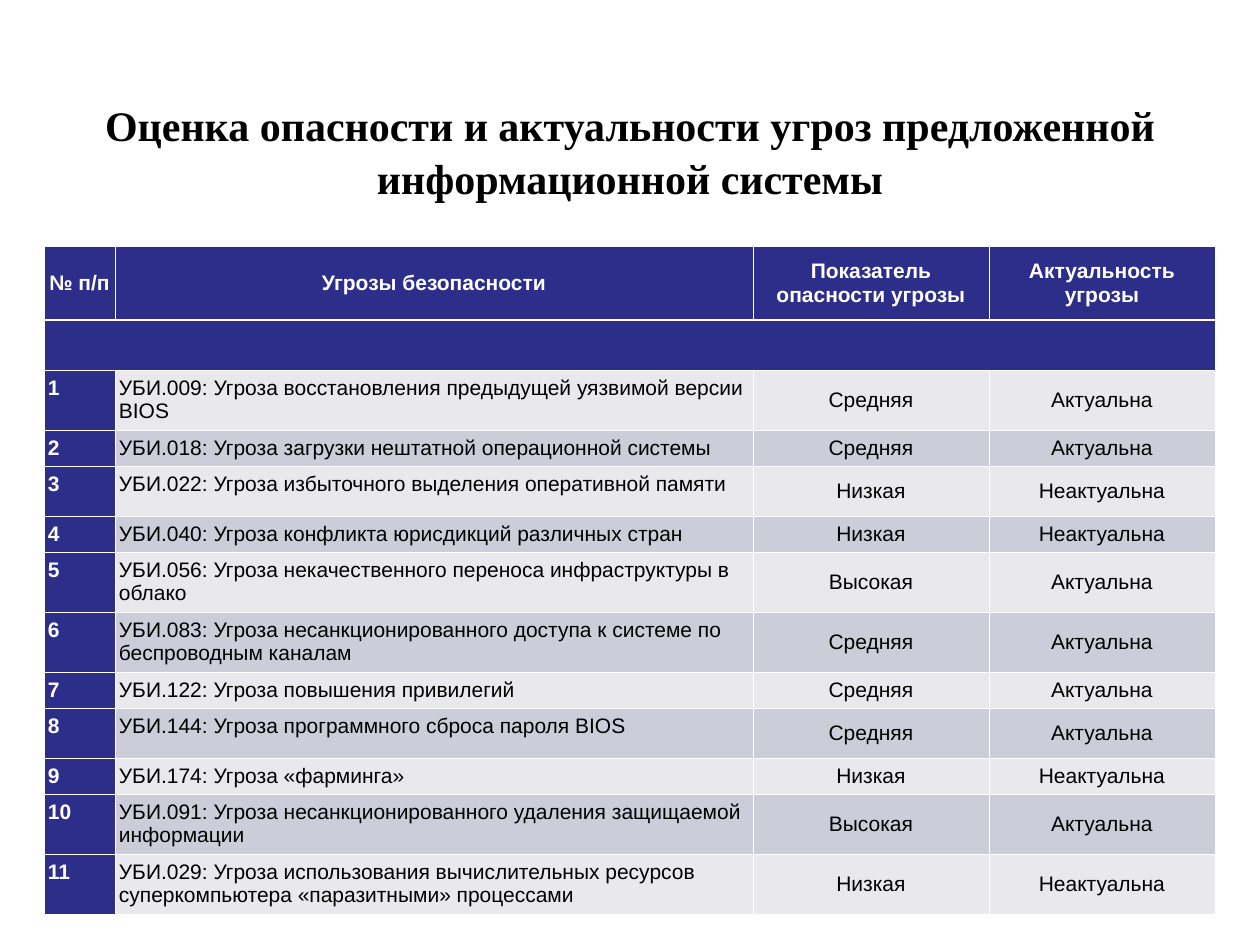
from lxml import etree
from pptx import Presentation
from pptx import util as u
from pptx.dml.color import RGBColor
from pptx.enum import text
from pptx.oxml.ns import qn

PX = 914400 / 126
NAVY, WHITE, BLACK = "2D2D8A", "FFFFFF", "000000"
BANDS = ("E8E8ED", "CDCDDA")
THIN, THICK = 0.45, 1.47
CENTER, LEFT = text.PP_ALIGN.CENTER, text.PP_ALIGN.LEFT
MIDDLE, TOP = text.MSO_ANCHOR.MIDDLE, text.MSO_ANCHOR.TOP


def px(length):
    return u.Emu(round(length * PX))


def color(value):
    return RGBColor.from_string(value)


def apply(target, values):
    for name, value in values.items():
        setattr(target, name, value)


class ThreatSlide:
    title_font = {"name": "Times New Roman", "size": u.Pt(24), "bold": True}
    cell_font = {"name": "Arial", "size": u.Pt(12)}
    cell_margins = {"margin_left": px(4), "margin_right": px(4),
                    "margin_top": px(6), "margin_bottom": px(6)}

    def __init__(self, deck):
        self.slide = deck.slides.add_slide(deck.slide_layouts[5])

    def title(self, wording, left, top, width, height):
        title = self.slide.shapes.title
        apply(title, {"left": px(left), "top": px(top),
                      "width": px(width), "height": px(height)})
        frame = title.text_frame
        apply(frame, {"text": wording, "word_wrap": True,
                      "auto_size": text.MSO_AUTO_SIZE.NONE,
                      "vertical_anchor": MIDDLE})
        paragraph = frame.paragraphs[0]
        apply(paragraph, {"alignment": CENTER, "line_spacing": 1.06})
        font = paragraph.runs[0].font
        apply(font, self.title_font)
        font.color.rgb = color(BLACK)

    def table(self, left, top, widths, heights):
        frame = self.slide.shapes.add_table(
            len(heights), len(widths), px(left), px(top),
            px(sum(widths)), px(sum(heights)))
        for column, width in zip(frame.table.columns, widths):
            column.width = px(width)
        for row, height in zip(frame.table.rows, heights):
            row.height = px(height)
        return frame.table

    def borders(self, cell, **weights):
        properties = cell._tc.get_or_add_tcPr()
        for side in "LRTB":
            weight = u.Pt(weights.get(side, THIN))
            line = etree.SubElement(properties, qn(f"a:ln{side}"), w=str(weight))
            fill = etree.SubElement(line, qn("a:solidFill"))
            etree.SubElement(fill, qn("a:srgbClr"), val=WHITE)

    def cell(self, cell, wording, fill, ink=BLACK, bold=False,
             align=CENTER, anchor=MIDDLE, **weights):
        apply(cell, self.cell_margins | {"vertical_anchor": anchor})
        self.borders(cell, **weights)
        cell.fill.solid()
        cell.fill.fore_color.rgb = color(fill)
        if wording:
            cell.text = wording
            paragraph = cell.text_frame.paragraphs[0]
            paragraph.alignment = align
            font = paragraph.runs[0].font
            apply(font, self.cell_font | {"bold": bold})
            font.color.rgb = color(ink)


HEADINGS = ("№ п/п", "Угрозы безопасности",
            "Показатель опасности угрозы", "Актуальность угрозы")

# Row heights by amount of text
ONE_LINE, LOOSE, TWO_LINES = 36, 50, 60

# Threat, danger level, relevance, row height
THREATS = [
    ("УБИ.009: Угроза восстановления предыдущей уязвимой версии BIOS",
     "Средняя", "Актуальна", TWO_LINES),
    ("УБИ.018: Угроза загрузки нештатной операционной системы",
     "Средняя", "Актуальна", ONE_LINE),
    ("УБИ.022: Угроза избыточного выделения оперативной памяти",
     "Низкая", "Неактуальна", LOOSE),
    ("УБИ.040: Угроза конфликта юрисдикций различных стран",
     "Низкая", "Неактуальна", ONE_LINE),
    ("УБИ.056: Угроза некачественного переноса инфраструктуры в облако",
     "Высокая", "Актуальна", TWO_LINES),
    ("УБИ.083: Угроза несанкционированного доступа к системе по беспроводным каналам",
     "Средняя", "Актуальна", TWO_LINES),
    ("УБИ.122: Угроза повышения привилегий",
     "Средняя", "Актуальна", ONE_LINE),
    ("УБИ.144: Угроза программного сброса пароля BIOS",
     "Средняя", "Актуальна", LOOSE),
    ("УБИ.174: Угроза «фарминга»",
     "Низкая", "Неактуальна", ONE_LINE),
    ("УБИ.091: Угроза несанкционированного удаления защищаемой информации",
     "Высокая", "Актуальна", TWO_LINES),
    ("УБИ.029: Угроза использования вычислительных ресурсов "
     "суперкомпьютера «паразитными» процессами",
     "Низкая", "Неактуальна", TWO_LINES),
]


def main():
    deck = Presentation()
    apply(deck, {"slide_width": px(1260), "slide_height": px(945)})
    page = ThreatSlide(deck)
    page.title("Оценка опасности и актуальности угроз предложенной "
               "информационной системы", 63, 76, 1134, 147)

    heights = [74, 48] + [threat[-1] for threat in THREATS]
    table = page.table(44, 246, (71, 638, 236, 226), heights)

    # Heading row and the empty band below it
    for column, heading in enumerate(HEADINGS):
        page.cell(table.cell(0, column), heading, NAVY, WHITE, True, B=THICK)
        page.cell(table.cell(1, column), "", NAVY, T=THICK)
    table.cell(1, 0).merge(table.cell(1, len(HEADINGS) - 1))

    # Numbered threats on alternating bands
    for index, (threat, danger, relevance, _) in enumerate(THREATS):
        row, band = index + 2, BANDS[index % 2]
        page.cell(table.cell(row, 0), str(index + 1), NAVY, WHITE, True, LEFT, TOP)
        page.cell(table.cell(row, 1), threat, band, align=LEFT, anchor=TOP)
        page.cell(table.cell(row, 2), danger, band)
        page.cell(table.cell(row, 3), relevance, band)

    deck.save("out.pptx")


if __name__ == "__main__":
    main()
